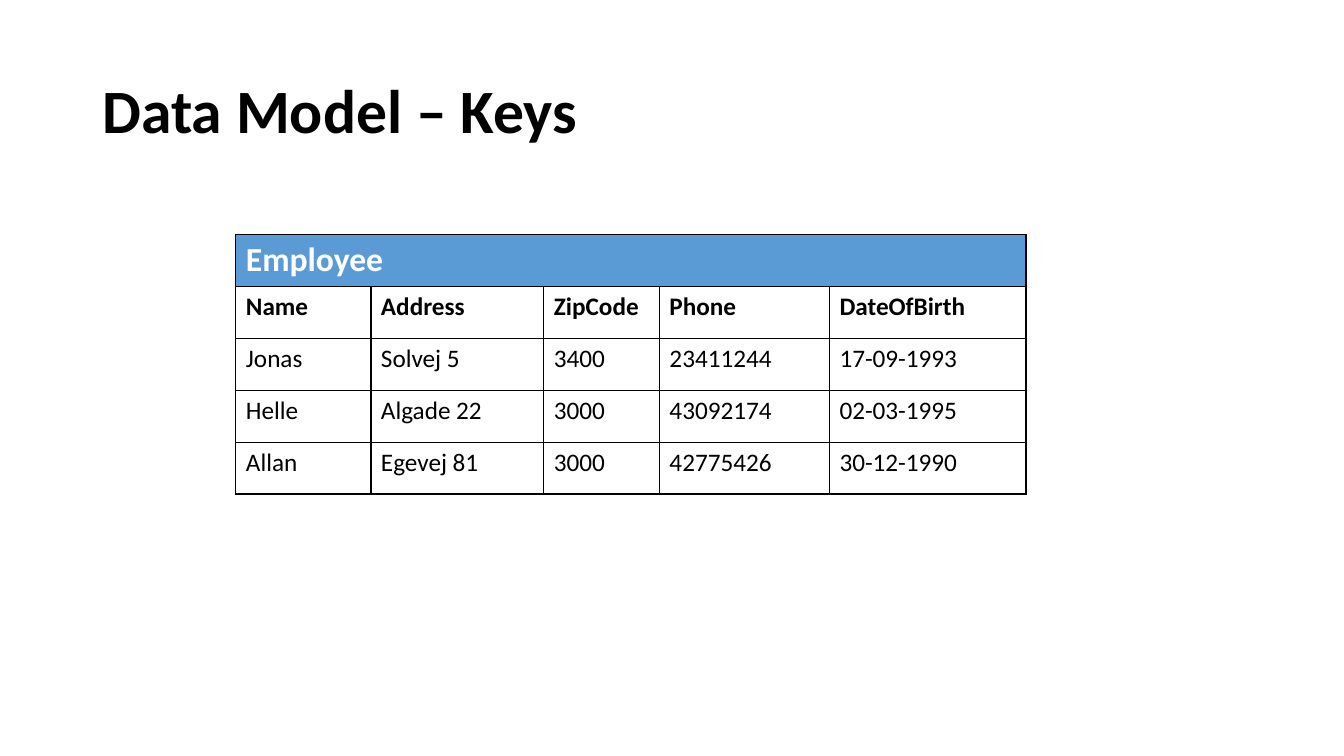
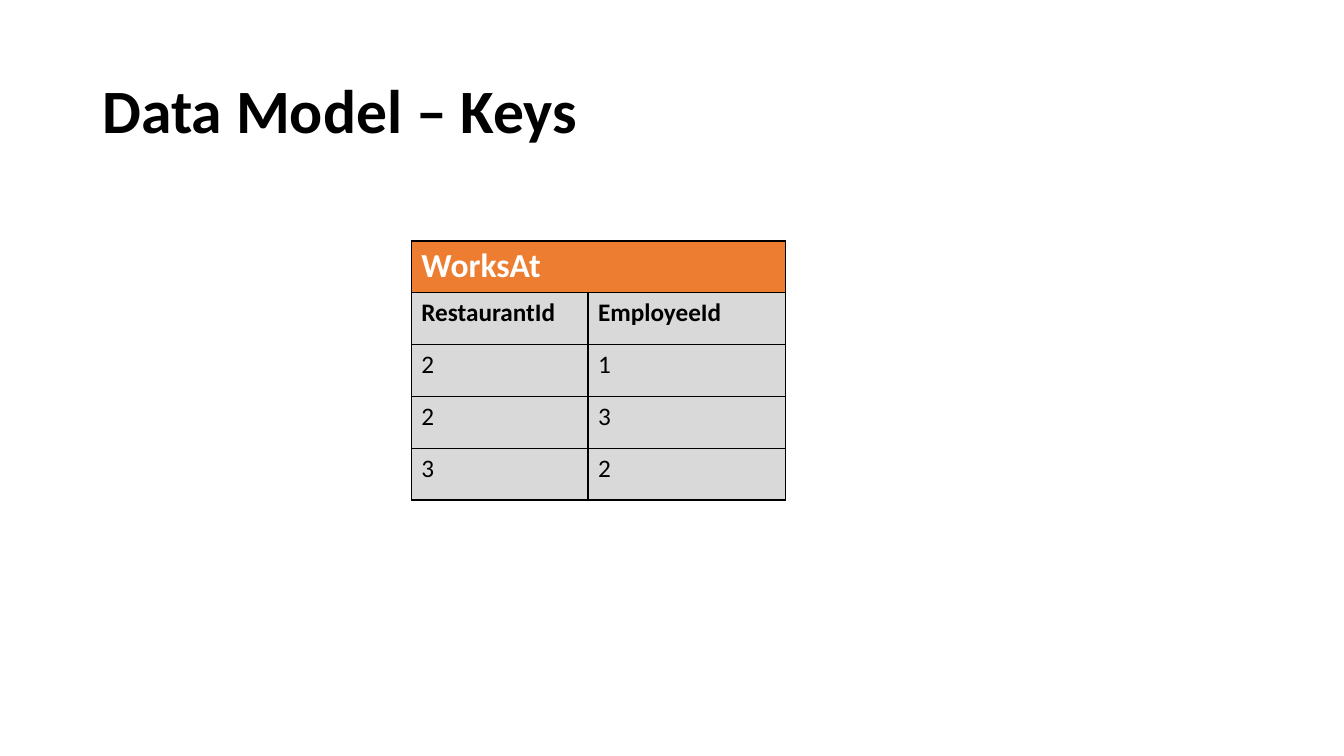
from lxml.etree import SubElement
from pptx import Presentation
from pptx.dml.color import RGBColor
from pptx.enum.text import MSO_ANCHOR
from pptx.oxml.ns import qn
from pptx.util import Inches, Pt

BLACK = RGBColor(0x00, 0x00, 0x00)
WHITE = RGBColor(0xFF, 0xFF, 0xFF)
BLUE = RGBColor(0x5B, 0x9B, 0xD5)
ORANGE = RGBColor(0xED, 0x7D, 0x31)
GREY = RGBColor(0xD9, 0xD9, 0xD9)

TITLE = dict(size=Pt(44), bold=True, color=BLACK)
CAPTION = dict(size=Pt(24), bold=True, color=WHITE)
HEADING = dict(size=Pt(18), bold=True, color=BLACK)
BODY = dict(size=Pt(18), bold=False, color=BLACK)


class Deck:
    """Shared style and current slide; lengths are percentages of the slide's size."""

    font = "Calibri"
    title_box = (6.88, 5.33, 86.25, 19.33)
    row_height = 6.86
    border = Pt(1)

    def __init__(self):
        self.prs = Presentation()
        self.prs.slide_width = Inches(13.33)
        self.prs.slide_height = Inches(7.5)

    def x(self, share):
        return round(self.prs.slide_width * share / 100)

    def y(self, share):
        return round(self.prs.slide_height * share / 100)

    def add_slide(self, title):
        self.s = self.prs.slides.add_slide(self.prs.slide_layouts[6])
        left, top, width, height = self.title_box
        sp = self.s.shapes.add_textbox(self.x(left), self.y(top), self.x(width), self.y(height))
        tf = sp.text_frame
        tf.word_wrap = True
        tf.vertical_anchor = MSO_ANCHOR.MIDDLE
        self.add_text(tf, title, TITLE)
        tf.paragraphs[0].line_spacing = 0.9

    def add_text(self, tf, text, style):
        r = tf.paragraphs[0].add_run()
        r.text = text
        r.font.name = self.font
        for name, value in style.items():
            if name == "color":
                r.font.color.rgb = value
            else:
                setattr(r.font, name, value)

    def paint(self, cell, color):
        """Give a cell its borders and fill, in the order the schema asks for."""
        tcPr = cell._tc.get_or_add_tcPr()
        for side in ("lnL", "lnR", "lnT", "lnB"):
            ln = SubElement(tcPr, qn(f"a:{side}"), w=str(self.border))
            fill = SubElement(ln, qn("a:solidFill"))
            SubElement(fill, qn("a:srgbClr"), val=str(BLACK))
        cell.fill.solid()
        cell.fill.fore_color.rgb = color

    def add_table(self, left, top, widths, caption, rows, caption_fill, body_fill):
        """Add a relation: a merged caption, a row of headings, then the records."""
        count = len(rows) + 1
        frame = self.s.shapes.add_table(
            count, len(widths), self.x(left), self.y(top),
            self.x(sum(widths)), self.y(self.row_height * count))
        table = frame.table
        table.first_row = table.horz_banding = False
        for column, width in zip(table.columns, widths):
            column.width = self.x(width)
        for row in table.rows:
            row.height = self.y(self.row_height)
            for cell in row.cells:
                self.paint(cell, body_fill)
        for cell in table.rows[0].cells:
            cell.fill.fore_color.rgb = caption_fill
        table.cell(0, 0).merge(table.cell(0, len(widths) - 1))
        self.add_text(table.cell(0, 0).text_frame, caption, CAPTION)
        for i, values in enumerate(rows, start=1):
            for j, value in enumerate(values):
                self.add_text(table.cell(i, j).text_frame, value, HEADING if i == 1 else BODY)


def main():
    deck = Deck()
    title = "Data Model – Keys"

    deck.add_slide(title)
    deck.add_table(17.55, 31.07, (10.05, 12.87, 8.6, 12.65, 14.62), "Employee", [
        ("Name", "Address", "ZipCode", "Phone", "DateOfBirth"),
        ("Jonas", "Solvej 5", "3400", "23411244", "17-09-1993"),
        ("Helle", "Algade 22", "3000", "43092174", "02-03-1995"),
        ("Allan", "Egevej 81", "3000", "42775426", "30-12-1990"),
    ], BLUE, WHITE)

    deck.add_slide(title)
    deck.add_table(30.6, 31.87, (13.15, 14.7), "WorksAt", [
        ("RestaurantId", "EmployeeId"),
        ("2", "1"),
        ("2", "3"),
        ("3", "2"),
    ], ORANGE, GREY)

    deck.prs.save("out.pptx")


if __name__ == "__main__":
    main()
